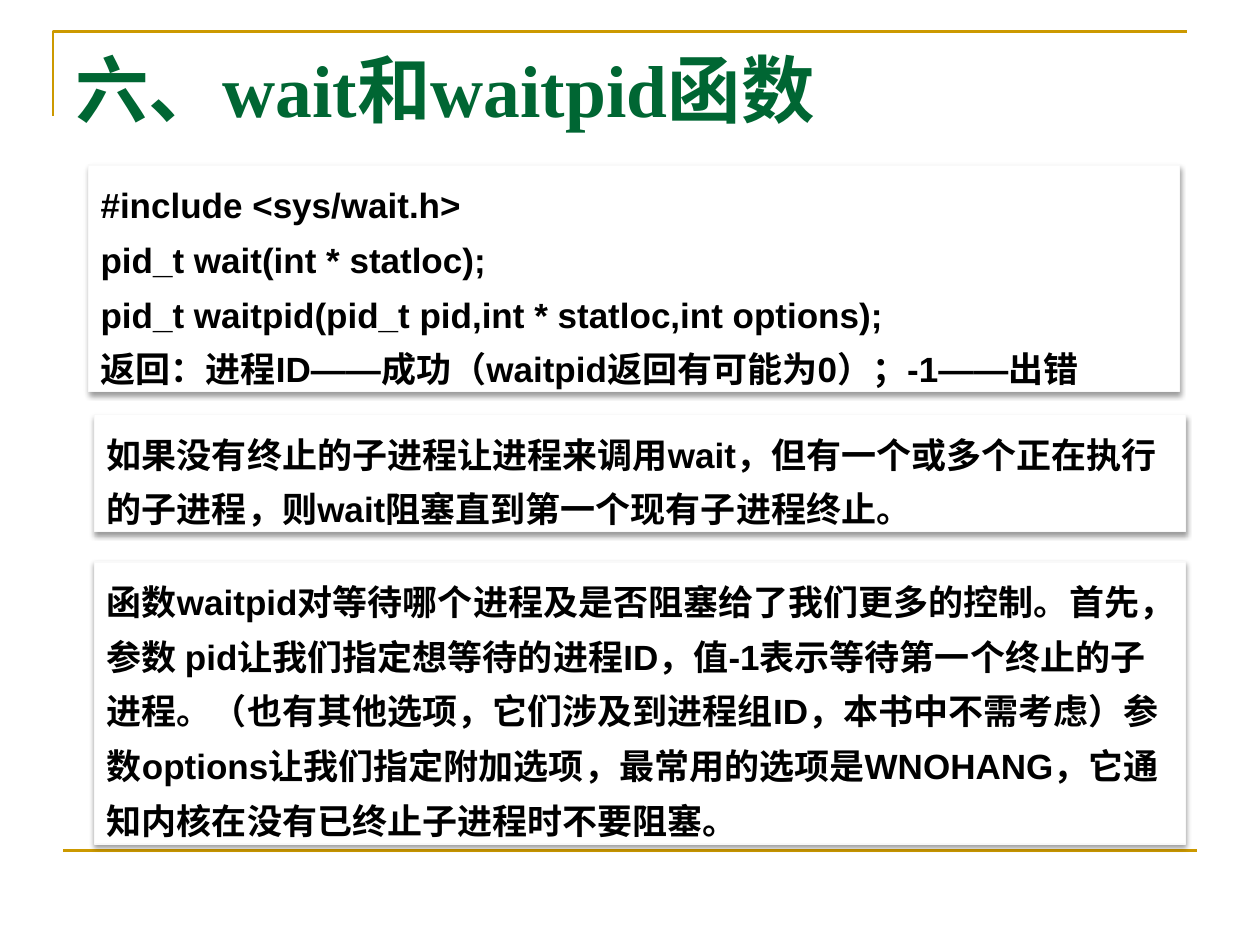
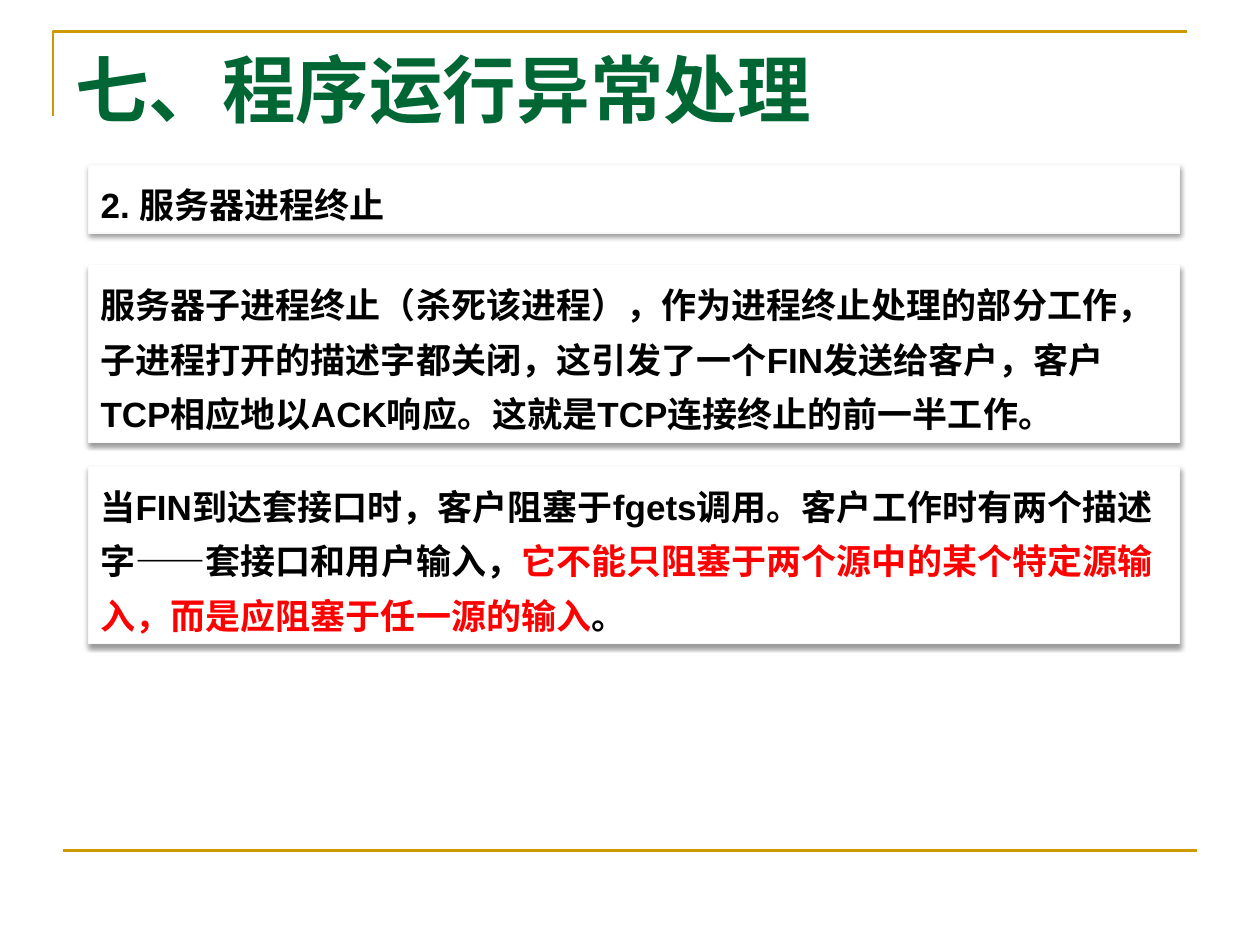
from lxml.etree import SubElement
from pptx import Presentation
from pptx.dml.color import RGBColor
from pptx.enum.shapes import MSO_CONNECTOR, MSO_SHAPE
from pptx.enum.text import MSO_ANCHOR, MSO_AUTO_SIZE, PP_ALIGN
from pptx.oxml.ns import qn
from pptx.util import Inches, Pt

GOLD = RGBColor(0xCC, 0x99, 0x00)
GREEN = RGBColor(0x00, 0x66, 0x33)
WHITE = RGBColor(0xFF, 0xFF, 0xFF)
EDGE = RGBColor(0xF9, 0xF9, 0xF9)
BLACK = RGBColor(0x00, 0x00, 0x00)
RED = RGBColor(0xFF, 0x00, 0x00)

SLIDES = [
    ("六、wait和waitpid函数", [
        (0.7, 1.31, 1.8, [
            ["#include <sys/wait.h>"],
            ["pid_t wait(int * statloc);"],
            ["pid_t waitpid(pid_t pid,int * statloc,int options);"],
            ["返回：进程ID——成功（waitpid返回有可能为0）；-1——出错"],
        ]),
        (0.75, 3.29, 0.93, [[
            "如果没有终止的子进程让进程来调用wait，但有一个或多个正在执行的子进程，"
            "则wait阻塞直到第一个现有子进程终止。"]]),
        (0.75, 4.46, 2.24, [[
            "函数waitpid对等待哪个进程及是否阻塞给了我们更多的控制。首先，"
            "参数 pid让我们指定想等待的进程ID，值-1表示等待第一个终止的子进程。"
            "（也有其他选项，它们涉及到进程组ID，本书中不需考虑）"
            "参数options让我们指定附加选项，最常用的选项是WNOHANG，"
            "它通知内核在没有已终止子进程时不要阻塞。"]]),
    ]),
    ("七、程序运行异常处理", [
        (0.7, 1.31, 0.54, [["2. 服务器进程终止"]]),
        (0.7, 2.1, 1.41, [[
            "服务器子进程终止（杀死该进程），作为进程终止处理的部分工作，"
            "子进程打开的描述字都关闭，这引发了一个FIN发送给客户，"
            "客户TCP相应地以ACK响应。这就是TCP连接终止的前一半工作。"]]),
        (0.7, 3.7, 1.41, [[
            "当FIN到达套接口时，客户阻塞于fgets调用。"
            "客户工作时有两个描述字——套接口和用户输入，",
            "它不能只阻塞于两个源中的某个特定源输入，而是应阻塞于任一源的输入",
            "。"]]),
    ]),
]


def set_font(r, name, size, color):
    r.font.name = name
    r.font.size = Pt(size)
    r.font.bold = True
    r.font.color.rgb = color


def add_shadow(sp):
    effects = sp._element.spPr.find(qn("a:effectLst"))
    shadow = SubElement(effects, qn("a:outerShdw"), blurRad=str(Pt(3.1)),
                        dist=str(Pt(1.6)), dir="5400000", rotWithShape="0")
    color = SubElement(shadow, qn("a:srgbClr"), val=str(BLACK))
    SubElement(color, qn("a:alpha"), val="38000")


prs = Presentation()
prs.slide_width = Inches(10)
prs.slide_height = Inches(7.5)

for title, boxes in SLIDES:
    s = prs.slides.add_slide(prs.slide_layouts[6])

    fb = s.shapes.build_freeform(Inches(0.42), Inches(0.92))
    fb.add_line_segments([(Inches(0.42), Inches(0.25)), (Inches(9.42), Inches(0.25))],
                         close=False)
    corner = fb.convert_to_shape()
    corner.shadow.inherit = False
    corner.fill.background()
    footer = s.shapes.add_connector(MSO_CONNECTOR.STRAIGHT, Inches(0.5), Inches(6.75),
                                    Inches(9.5), Inches(6.75))
    SubElement(footer._element.spPr, qn("a:effectLst"))
    for rule in (corner, footer):
        rule.line.color.rgb = GOLD
        rule.line.width = Pt(1.5)

    tb = s.shapes.add_textbox(Inches(0.5), Inches(0.3), Inches(8.28), Inches(1.25))
    tf = tb.text_frame
    tf.word_wrap = True
    tf.vertical_anchor = MSO_ANCHOR.TOP
    tf.text = title
    set_font(tf.paragraphs[0].runs[0], "Times New Roman", 42, GREEN)

    for left, top, height, paragraphs in boxes:
        sp = s.shapes.add_shape(MSO_SHAPE.RECTANGLE, Inches(left), Inches(top),
                                Inches(8.66), Inches(height))
        sp.fill.solid()
        sp.fill.fore_color.rgb = WHITE
        sp.line.color.rgb = EDGE
        sp.line.width = Pt(0.75)
        sp.shadow.inherit = False
        add_shadow(sp)
        tf = sp.text_frame
        tf.word_wrap = True
        tf.auto_size = MSO_AUTO_SIZE.SHAPE_TO_FIT_TEXT
        tf.vertical_anchor = MSO_ANCHOR.TOP
        for i, parts in enumerate(paragraphs):
            p = tf.add_paragraph() if i else tf.paragraphs[0]
            p.alignment = PP_ALIGN.LEFT
            p.line_spacing = 1.3
            for j, part in enumerate(parts):
                r = p.add_run()
                r.text = part
                set_font(r, "Arial", 20, RED if j % 2 else BLACK)

prs.save("out.pptx")
